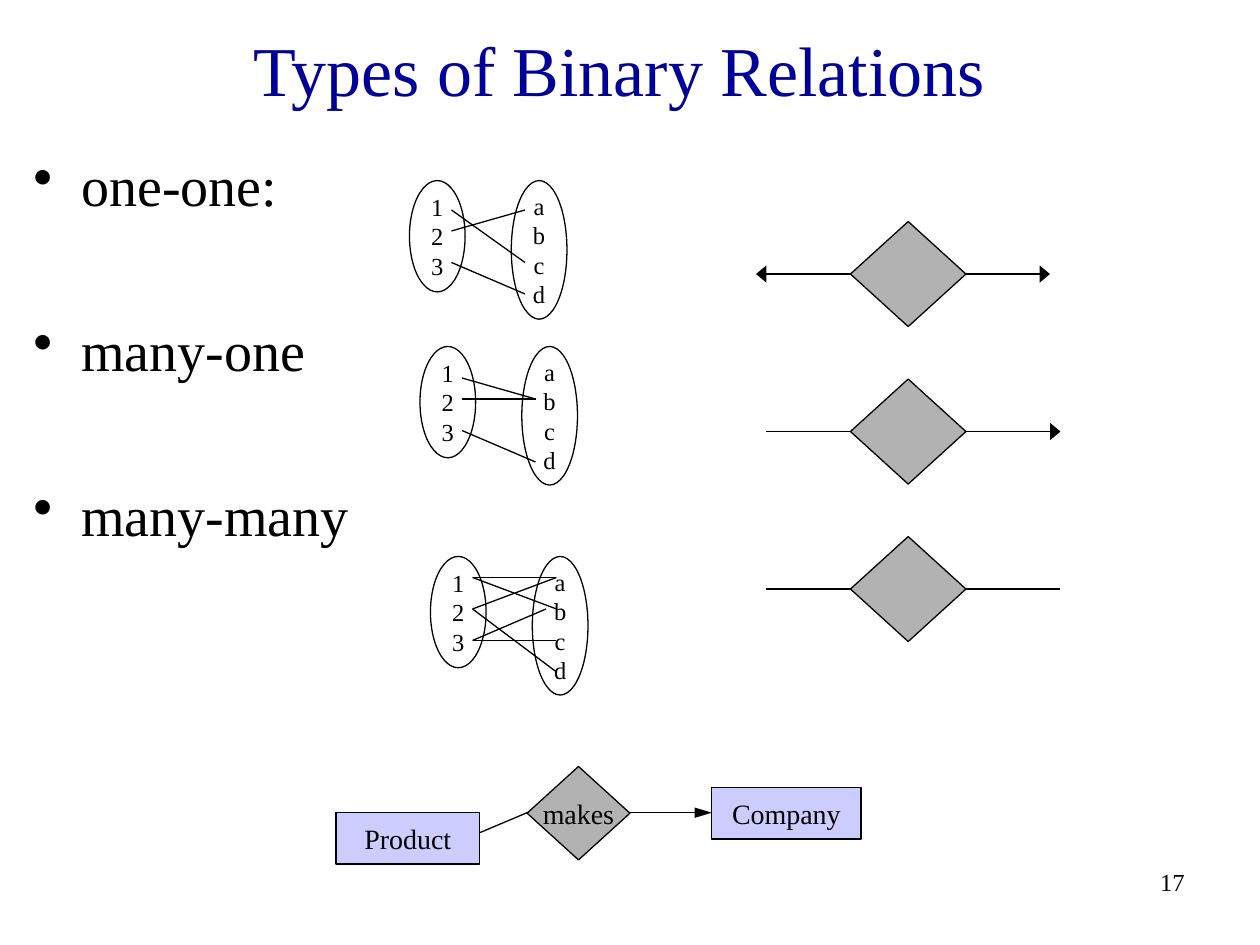
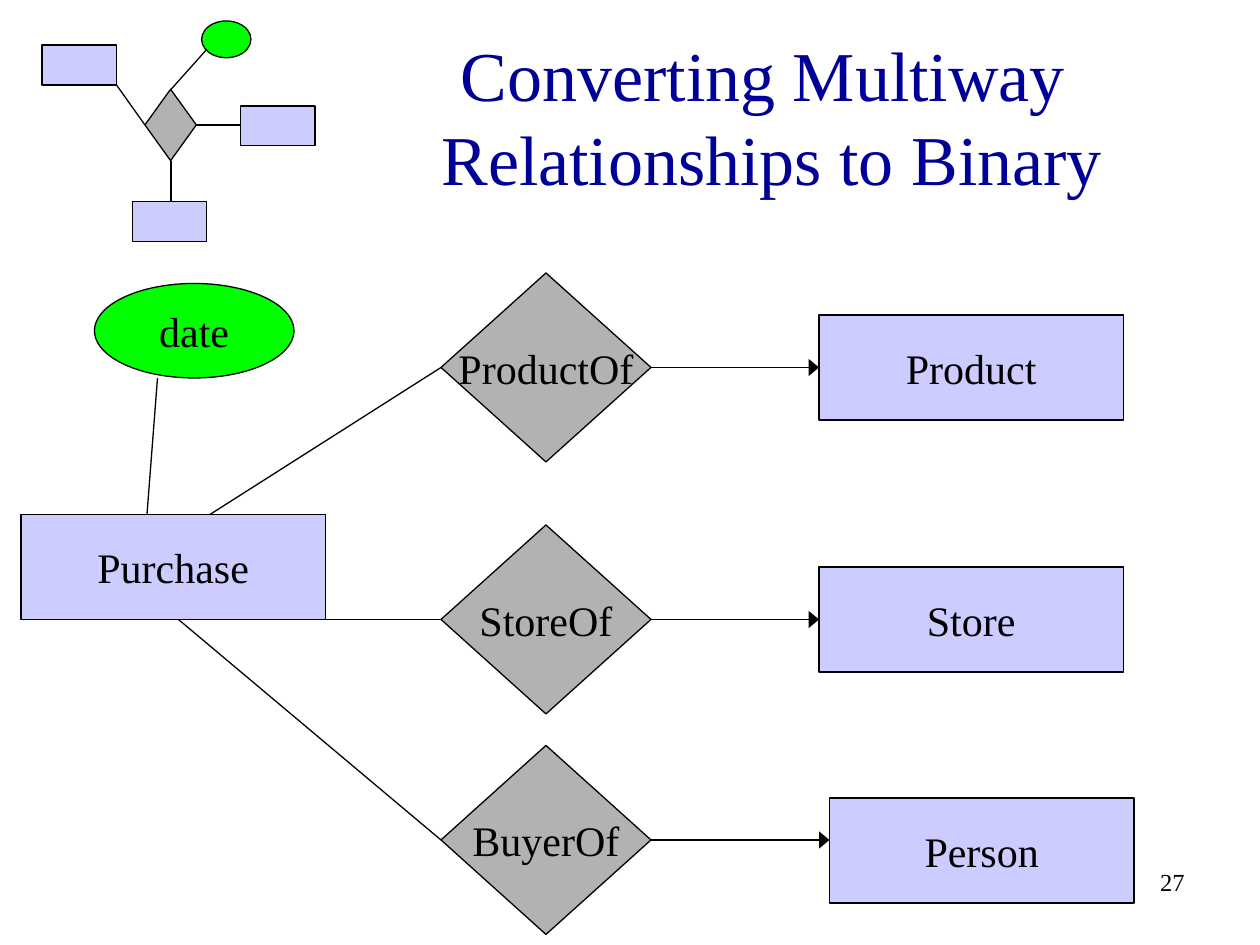
from dataclasses import dataclass

from lxml.etree import SubElement
from pptx import Presentation
from pptx.dml.color import RGBColor
from pptx.enum.shapes import MSO_CONNECTOR as Connector, MSO_SHAPE as Shape
from pptx.enum.text import MSO_ANCHOR as Anchor, PP_ALIGN as Align
from pptx.oxml.ns import qn
from pptx.util import Inches, Pt


@dataclass(frozen=True)
class Theme:
    """Colours, type sizes and line width shared by the slides."""
    font: str = "Times New Roman"
    ink: str = "000000"
    title: str = "000099"
    entity: str = "CCCCFF"
    relation: str = "B2B2B2"
    attribute: str = "00FF00"
    title_size: int = 40
    body_size: int = 32
    label_size: int = 24
    small_size: int = 16
    tiny_size: int = 14
    line: float = 0.75


THEME = Theme()
COLUMNS, ROWS = 120, 90
WIDTH, HEIGHT = Inches(10), Inches(7.5)


def across(columns):
    """Turn grid columns into a length."""
    return round(WIDTH * columns / COLUMNS)


def down(rows):
    """Turn grid rows into a length."""
    return round(HEIGHT * rows / ROWS)


def place(left, top, width, height):
    """Turn a grid rectangle into lengths."""
    return across(left), down(top), across(width), down(height)


def style(para, size, color=THEME.ink, align=Align.CENTER):
    """Set the type and alignment of one paragraph."""
    para.alignment = align
    para.font.name = THEME.font
    para.font.size = Pt(size)
    para.font.color.rgb = RGBColor.from_string(color)


def add_text(page, area, text, size, color=THEME.ink, align=Align.CENTER, anchor=Anchor.TOP):
    """Add a wrapping text box and return its frame."""
    frame = page.shapes.add_textbox(*place(*area)).text_frame
    frame.word_wrap = True
    frame.vertical_anchor = anchor
    frame.text = text
    for para in frame.paragraphs:
        style(para, size, color, align)
    return frame


def add_bullets(page, area, items, gap):
    """Add a bulleted list with a gap between its items."""
    frame = add_text(page, area, "\n".join(items), THEME.body_size, align=Align.LEFT)
    for index, para in enumerate(frame.paragraphs):
        if index:
            para.space_before = Pt(gap)
        props = para._p.get_or_add_pPr()
        props.set("marL", str(Inches(0.38)))
        props.set("indent", str(-Inches(0.38)))
        bullet = props.makeelement(qn("a:buChar"), {"char": "•"})
        props.insert_element_before(bullet, "a:tabLst", "a:defRPr", "a:extLst")


def add_node(page, kind, area, fill=None, text="", size=THEME.label_size):
    """Add an outlined shape with an optional fill and label."""
    node = page.shapes.add_shape(kind, *place(*area))
    node.shadow.inherit = False
    if fill:
        node.fill.solid()
        node.fill.fore_color.rgb = RGBColor.from_string(fill)
    else:
        node.fill.background()
    node.line.color.rgb = RGBColor.from_string(THEME.ink)
    node.line.width = Pt(THEME.line)
    if text:
        frame = node.text_frame
        frame.word_wrap = False
        frame.vertical_anchor = Anchor.MIDDLE
        frame.text = text
        for para in frame.paragraphs:
            style(para, size)


def entity(page, area, text="", size=THEME.label_size):
    """Add an entity box."""
    add_node(page, Shape.RECTANGLE, area, THEME.entity, text, size)


def relation(page, area, text="", size=THEME.label_size):
    """Add a relationship diamond."""
    add_node(page, Shape.DIAMOND, area, THEME.relation, text, size)


def attribute(page, area, text=""):
    """Add an attribute ellipse."""
    add_node(page, Shape.OVAL, area, THEME.attribute, text)


def link(page, start, end, head=None):
    """Join two grid points, with an arrowhead of (width, length) if given."""
    line = page.shapes.add_connector(
        Connector.STRAIGHT, across(start[0]), down(start[1]), across(end[0]), down(end[1]))
    line.line.color.rgb = RGBColor.from_string(THEME.ink)
    line.line.width = Pt(THEME.line)
    if head:
        SubElement(line.line._get_or_add_ln(), qn("a:tailEnd"), type="triangle", w=head[0], len=head[1])
    SubElement(line._element.spPr, qn("a:effectLst"))


WIDE_HEAD, LONG_HEAD = ("lg", "med"), ("med", "lg")


def add_mapping(page, left, top, pairs):
    """Draw two sets and the lines that pair their members."""
    for offset, height, members in ((0, 10.6, "123"), (9.7, 13.2, "abcd")):
        add_node(page, Shape.OVAL, (left + offset, top, 5.3, height),
                 text="\n".join(members), size=THEME.tiny_size)
    for start_row, end_row, reach in pairs:
        link(page, (left + 4, start_row), (left + 4 + reach, end_row))


def add_arms(page, top, left_end, right_end, left_head=None, right_head=None):
    """Draw a diamond with a line to each side."""
    relation(page, (81, top, 11, 10))
    link(page, (81, top + 5), (left_end, top + 5), left_head)
    link(page, (92, top + 5), (right_end, top + 5), right_head)


def new_page(deck, title, area, number):
    """Add a blank page with its title and page number."""
    page = deck.slides.add_slide(deck.slide_layouts[6])
    add_text(page, (89, 82, 25, 6), str(number), THEME.tiny_size, align=Align.RIGHT)
    add_text(page, area, title, THEME.title_size, THEME.title, anchor=Anchor.MIDDLE)
    return page


def build_binary_types(deck):
    """Build the page on kinds of binary relation."""
    page = new_page(deck, "Types of Binary Relations", (2, 2, 114, 9), 17)
    add_bullets(page, (2, 13.7, 114, 70), ("one-one:", "many-one", "many-many"), 56)
    add_arms(page, 21.1, 72, 100, WIDE_HEAD, WIDE_HEAD)
    add_arms(page, 36.1, 73, 101, right_head=WIDE_HEAD)
    add_arms(page, 51.1, 73, 101)
    add_mapping(page, 39, 17.2, ((20, 25, 7), (22, 20, 7), (25, 28, 7)))
    add_mapping(page, 40, 33, ((36, 38, 7), (38, 38, 7), (41, 44, 7)))
    add_mapping(page, 41, 53, ((55, 58, 8), (55, 55, 8), (58, 55, 8),
                               (58, 64, 8), (61, 58, 7), (61, 61, 8)))
    relation(page, (50.2, 73, 9.8, 8.9), "makes", THEME.small_size)
    entity(page, (67.8, 75, 14.2, 4.9), "Company", THEME.small_size)
    entity(page, (32, 77.4, 13.7, 4.9), "Product", THEME.small_size)
    link(page, (60, 77.4), (67.8, 77.4), LONG_HEAD)
    link(page, (50.2, 77.4), (45.7, 79.3))


def add_multiway_sketch(page):
    """Draw the small unlabelled multiway relationship."""
    relation(page, (13.8, 8.5, 4.9, 6.8))
    for left, top in ((4, 4.3), (12.6, 19.2), (22.9, 10.1)):
        entity(page, (left, top, 7.1, 3.8))
    attribute(page, (19.2, 2, 4.7, 3.5))
    for start, end in (((18.7, 11.9), (22.9, 11.9)), ((16.3, 15.3), (16.3, 19.2)),
                       ((16.3, 8.5), (19.7, 4.7)), ((11.1, 8.1), (13.8, 11.9))):
        link(page, start, end)


def build_multiway(deck):
    """Build the page on turning a multiway relationship into binary ones."""
    page = new_page(deck, "Converting Multiway \vRelationships to Binary", (31, 3, 85, 16), 27)
    entity(page, (2, 49, 29, 10), "Purchase")
    branches = (
        ("ProductOf", 26, "Product", (78, 30), (20, 49)),
        ("StoreOf", 50, "Store", (78, 54), (31, 59)),
        ("BuyerOf", 71, "Person", (79, 76), (17, 59)),
    )
    for name, top, target, corner, origin in branches:
        middle = top + 9
        entity(page, (*corner, 29, 10), target)
        relation(page, (42, top, 20, 18), name)
        link(page, (42, middle), origin)
        link(page, (62, middle), (corner[0], middle), WIDE_HEAD)
    attribute(page, (9, 27, 19, 9), "date")
    link(page, (14, 49), (15, 36))
    add_multiway_sketch(page)


def main():
    """Build and save the deck."""
    deck = Presentation()
    deck.slide_width, deck.slide_height = WIDTH, HEIGHT
    build_binary_types(deck)
    build_multiway(deck)
    deck.save("out.pptx")


if __name__ == "__main__":
    main()
